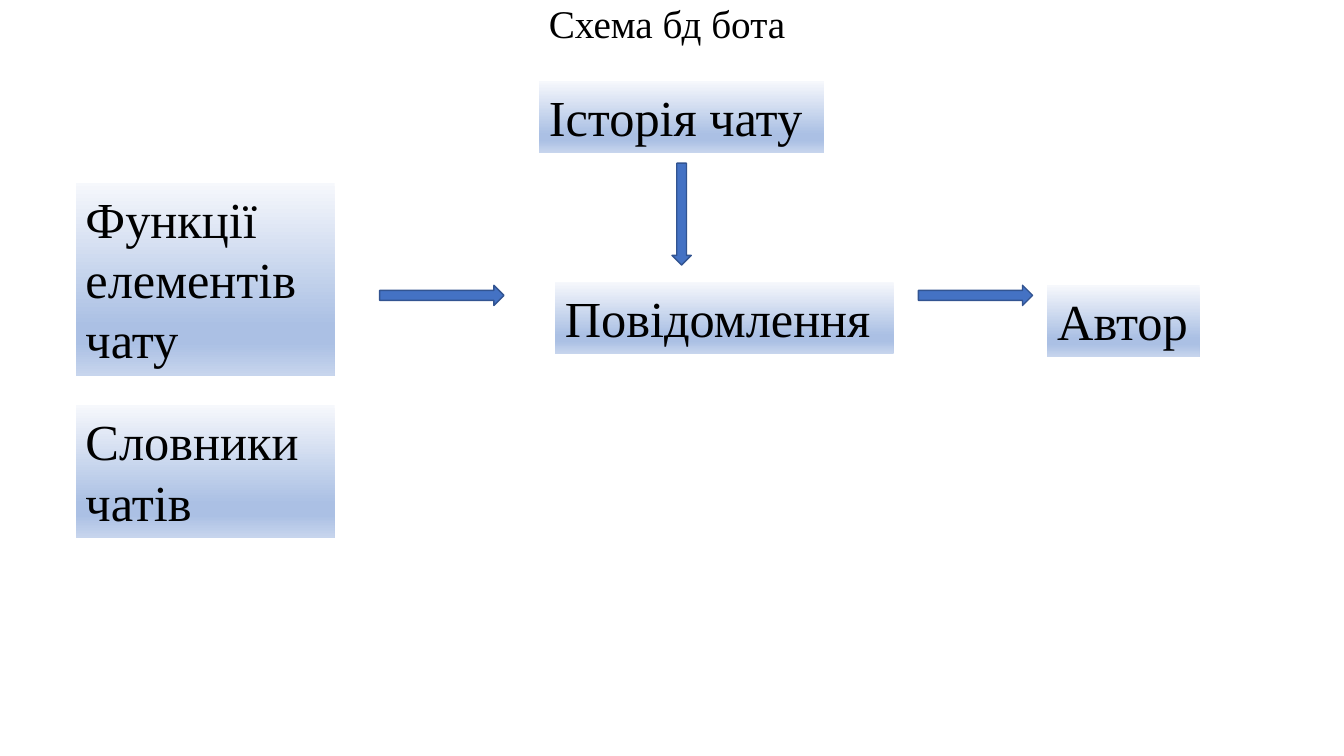
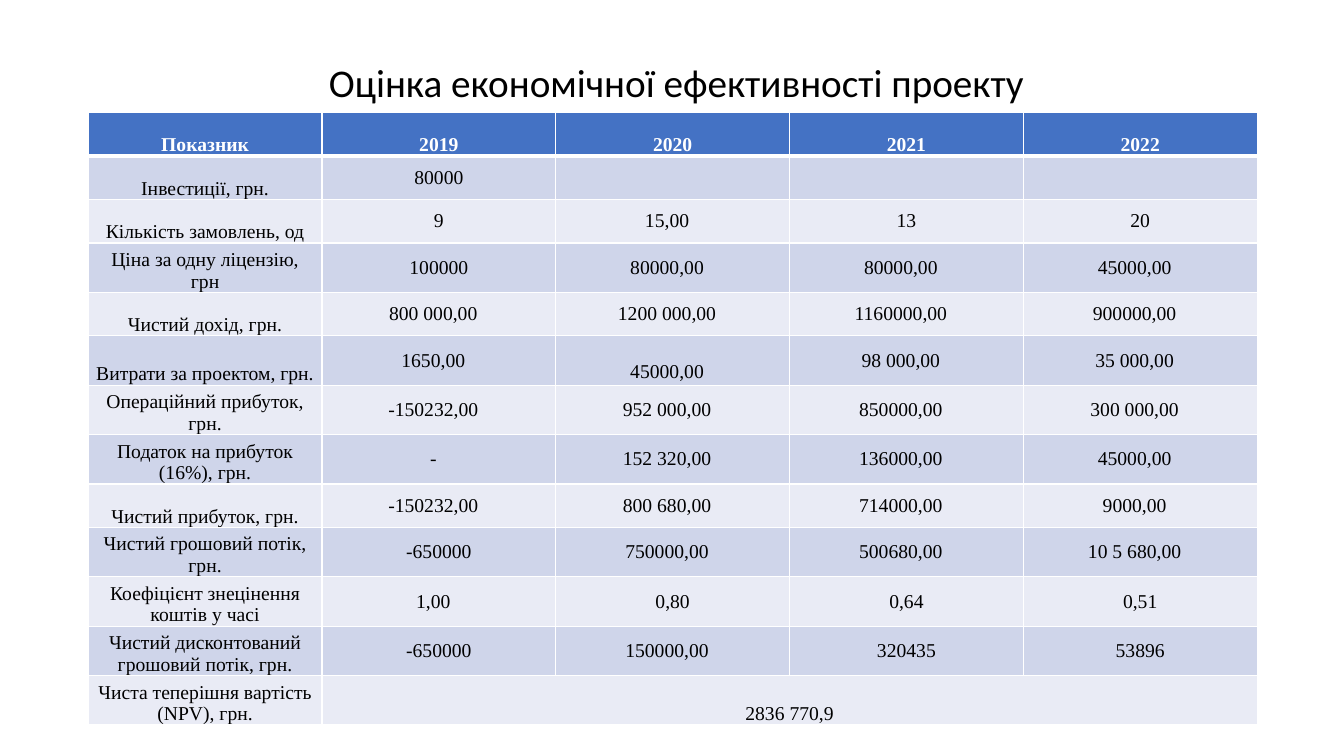
"""Build a chat bot database diagram and a project economics table."""
from lxml import etree
from pptx import Presentation, util as u
from pptx.dml import color
from pptx.enum import shapes as sh, text as tx
from pptx.oxml import ns

Pt = u.Pt
HUE = {"ink": "000000", "white": "FFFFFF", "blue": "4472C4", "edge": "325491",
       "odd": "CFD5EA", "even": "E9EBF5"}
FADE = [(0, "F6F8FC"), (74, "ABC0E4"), (83, "ABC0E4"), (100, "C7D5ED")]
SERIF = "Times New Roman"
MID, LOW = tx.MSO_ANCHOR.MIDDLE, tx.MSO_ANCHOR.BOTTOM


def write(frame, words, size, face=SERIF, hue="ink", bold=False, align=tx.PP_ALIGN.LEFT):
    para = frame.paragraphs[0]
    para.alignment = align
    run = para.add_run()
    run.text = words
    for key, val in {"size": Pt(size), "name": face, "bold": bold}.items():
        setattr(run.font, key, val)
    run.font.color.rgb = color.RGBColor.from_string(HUE[hue])
    return para


def node(tag, root, **attrs):
    return etree.SubElement(root, ns.qn(tag), attrs)


deck = Presentation()
deck.slide_width, deck.slide_height = Pt(960), Pt(540)

titles = [("Cхема бд бота ", SERIF, (66, 0, 828, 36.5)),
          ("Оцінка економічної ефективності проекту", "Calibri", (69, 8.6, 828, 104.4))]
pages = []
for words, face, spot in titles:
    page = deck.slides.add_slide(deck.slide_layouts[6])
    frame = page.shapes.add_textbox(*map(Pt, spot)).text_frame
    frame.word_wrap = True
    frame.vertical_anchor = MID
    para = write(frame, words, 28, face, align=tx.PP_ALIGN.CENTER)
    para.line_spacing = 0.9
    pages.append(page)
scheme, money = pages

boxes = [("Повідомлення", True, (396.3, 201.5, 242, 51)),
         ("Автор", False, (748, 203.8, 109, 51)),
         ("Функції елементів чату", True, (54, 130.5, 185, 138)),
         ("Словники чатів", True, (54, 289.5, 185, 94.5)),
         ("Історія чату", True, (385, 58, 203.8, 51))]
for words, wrap, spot in boxes:
    box = scheme.shapes.add_textbox(*map(Pt, spot))
    box.fill.gradient()
    box.fill.gradient_angle = 270
    stops = next(box.element.iter(ns.qn("a:gsLst")))
    for stop in list(stops):
        stops.remove(stop)
    for place, tint in FADE:
        stop = node("a:gs", stops, pos=str(place * 1000))
        node("a:srgbClr", stop, val=tint)
    frame = box.text_frame
    frame.word_wrap = wrap
    frame.auto_size = tx.MSO_AUTO_SIZE.SHAPE_TO_FIT_TEXT
    write(frame, words, 36)

RIGHT, DOWN = sh.MSO_SHAPE.RIGHT_ARROW, sh.MSO_SHAPE.DOWN_ARROW
arrows = [(RIGHT, (271.2, 203.8, 88.8, 14.4)),
          (RIGHT, (656, 203.8, 81.6, 14.4)),
          (DOWN, (480, 116.6, 13.8, 72.8))]
for kind, spot in arrows:
    arrow = scheme.shapes.add_shape(kind, *map(Pt, spot))
    arrow.shadow.inherit = False
    arrow.fill.solid()
    arrow.fill.fore_color.rgb = color.RGBColor.from_string(HUE["blue"])
    arrow.line.color.rgb = color.RGBColor.from_string(HUE["edge"])
    arrow.line.width = Pt(1)

rows = [
    ["Показник", "2019", "2020", "2021", "2022"],
    ["Інвестиції, грн.", "80000", "", "", ""],
    ["Кількість замовлень, од", "9", "15,00", "13", "20"],
    ["Ціна за одну ліцензію, грн", "100000", "80000,00", "80000,00", "45000,00"],
    ["Чистий дохід, грн.", "800\u00a0000,00", "1200\u00a0000,00", "1160000,00", "900000,00"],
    ["Витрати за проектом, грн.", "1650,00", "45000,00", "98\u00a0000,00", "35\u00a0000,00"],
    ["Операційний прибуток, грн.", "-150232,00", "952\u00a0000,00", "850000,00",
     "300\u00a0000,00"],
    ["Податок на прибуток (16%), грн.", "-", "152\u00a0320,00", "136000,00", "45000,00"],
    ["Чистий прибуток, грн.", "-150232,00", "800\u00a0680,00", "714000,00", "9000,00"],
    ["Чистий грошовий потік, грн.", "-650000", "750000,00", "500680,00",
     "10\u00a05\u00a0680,00"],
    ["Коефіцієнт знецінення коштів у часі", "1,00", "0,80", "0,64", "0,51"],
    ["Чистий дисконтований грошовий потік, грн.", "-650000", "150000,00", "320435", "53896"],
    ["Чиста теперішня вартість (NPV), грн.", "2836 770,9", "", "", ""],
]
SHORT = {0, 1, 2, 4, 8}
last = len(rows) - 1
grid = money.shapes.add_table(len(rows), 5, Pt(63), Pt(80.6), Pt(835), Pt(437)).table
for col in grid.columns:
    col.width = Pt(167)
for r, row in enumerate(rows):
    grid.rows[r].height = Pt(31 if r in SHORT else 35.3)
    band = "blue" if r == 0 else "odd" if r % 2 else "even"
    for c, words in enumerate(row):
        cell = grid.cell(r, c)
        pad = 8 if words.endswith((",00", "-")) else 0
        drop = 16 if (r, c) == (5, 2) else 0
        low = c == 0 or r in (0, last)
        form = {"margin_left": Pt(5), "margin_right": Pt(5 + pad), "margin_top": Pt(drop),
                "margin_bottom": 0, "vertical_anchor": LOW if low else MID}
        for key, val in form.items():
            setattr(cell, key, val)
        props = cell._tc.get_or_add_tcPr()
        for side in "LRTB":
            thick = (side == "B" and r == 0) or (side == "T" and r == 1)
            line = node("a:ln" + side, props, w=str(Pt(3 if thick else 1)))
            node("a:srgbClr", node("a:solidFill", line), val=HUE["white"])
        cell.fill.solid()
        cell.fill.fore_color.rgb = color.RGBColor.from_string(HUE[band])
        if words:
            write(cell.text_frame, words, 14, hue="ink" if r else "white", bold=r == 0,
                  align=tx.PP_ALIGN.CENTER)
grid.cell(last, 1).merge(grid.cell(last, 4))

deck.save("out.pptx")
